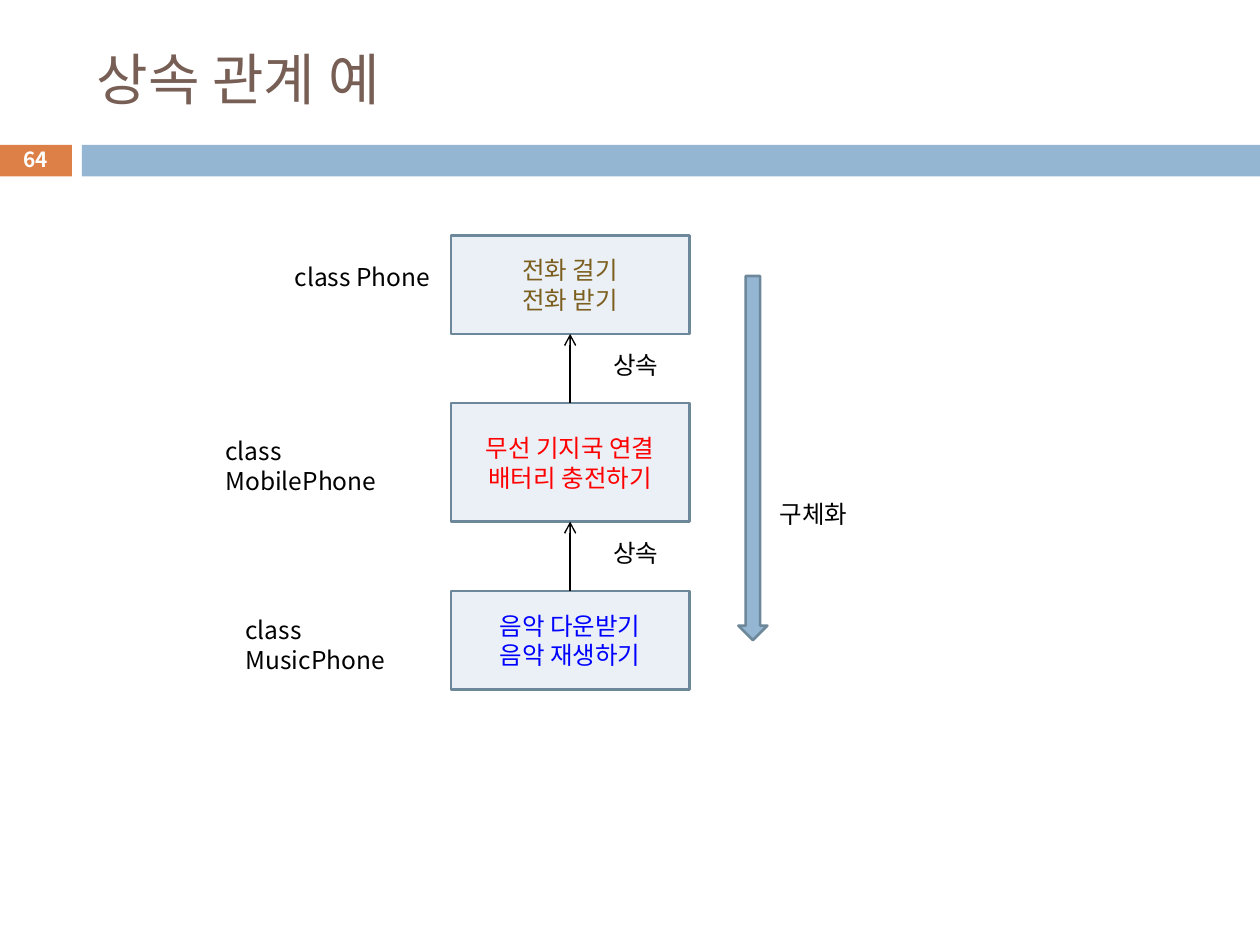
from dataclasses import dataclass

from lxml import etree
from pptx import Presentation
from pptx.dml.color import RGBColor
from pptx.enum.shapes import MSO_CONNECTOR, MSO_SHAPE
from pptx.enum.text import MSO_ANCHOR, PP_ALIGN
from pptx.oxml.ns import qn
from pptx.util import Inches, Pt

RECT, PROCESS = MSO_SHAPE.RECTANGLE, MSO_SHAPE.FLOWCHART_PROCESS
RIGHT_ARROW, STRAIGHT = MSO_SHAPE.RIGHT_ARROW, MSO_CONNECTOR.STRAIGHT
TOP, MIDDLE = MSO_ANCHOR.TOP, MSO_ANCHOR.MIDDLE
LEFT, CENTER = PP_ALIGN.LEFT, PP_ALIGN.CENTER
TOP_SIDE, BOTTOM_SIDE = 0, 2
UNIT = 0.1  # inches per grid column and row
COLUMNS, ROWS = 100, 75


@dataclass(frozen=True)
class Theme:
    font: str = "Noto Sans CJK KR"
    title_size: float = 32
    body_size: float = 14
    number_size: float = 11.9
    body_leading: float = 17
    title: str = "775F55"
    accent: str = "DD8047"
    band: str = "94B6D2"
    outline: str = "6D879B"
    panel: str = "EAF0F6"
    ink: str = "000000"
    paper: str = "FFFFFF"
    phone: str = "7C5F1E"
    mobile: str = "FF0000"
    music: str = "0000FF"
    outline_width: float = 1.5
    link_width: float = 0.79


THEME = Theme()


@dataclass(frozen=True)
class Box:
    """A rectangle measured in grid columns and rows."""
    left: float
    top: float
    width: float
    height: float

    def inner(self, left, top, width, height):
        return Box(self.left + left, self.top + top, width, height)

    def lengths(self):
        return [Inches(n * UNIT) for n in (self.left, self.top, self.width, self.height)]


def rgb(color):
    return RGBColor.from_string(color)


def write(shape, lines, color, size=THEME.body_size, align=LEFT, anchor=TOP,
          bold=False, leading=None):
    frame = shape.text_frame
    frame.word_wrap = True
    frame.vertical_anchor = anchor
    frame.text = "\n".join(lines)
    font_format = {"name": THEME.font, "size": Pt(size), "bold": bold}
    for paragraph in frame.paragraphs:
        paragraph.alignment = align
        if leading:
            paragraph.line_spacing = Pt(leading)
        for run in paragraph.runs:
            for key, value in font_format.items():
                setattr(run.font, key, value)
            run.font.color.rgb = rgb(color)
            east_asian = etree.SubElement(run.font._element, qn("a:ea"))
            east_asian.set("typeface", THEME.font)


def add_filled(slide, kind, box, fill, outline=None):
    shape = slide.shapes.add_shape(kind, *box.lengths())
    shape.shadow.inherit = False
    shape.fill.solid()
    shape.fill.fore_color.rgb = rgb(fill)
    if outline:
        shape.line.color.rgb = rgb(outline)
        shape.line.width = Pt(THEME.outline_width)
    else:
        shape.line.fill.background()
    return shape


def add_text(slide, box, text, color, **text_format):
    write(slide.shapes.add_textbox(*box.lengths()), [text], color, **text_format)


def add_label(slide, box, text):
    add_text(slide, box, text, THEME.ink, leading=THEME.body_leading)


def add_inheritance(slide, child, parent):
    """Join the child's top to the parent's bottom with an open arrowhead."""
    link = slide.shapes.add_connector(STRAIGHT, 0, 0, 0, 0)
    link.begin_connect(child, TOP_SIDE)
    link.end_connect(parent, BOTTOM_SIDE)
    link.line.color.rgb = rgb(THEME.ink)
    link.line.width = Pt(THEME.link_width)
    etree.SubElement(link.line._get_or_add_ln(), qn("a:tailEnd")).set("type", "arrow")
    etree.SubElement(link._element.spPr, qn("a:effectLst"))


def add_header(slide, box, title, number):
    tab = box.inner(-0.1, 11.5, 5.8, 2.5)
    add_filled(slide, RECT, tab, THEME.accent)
    add_filled(slide, RECT, box.inner(6.5, 11.5, box.width - 6.5, 2.5), THEME.band)
    add_text(slide, box.inner(6.7, 2.5, 89.2, 7.4), title, THEME.title,
             size=THEME.title_size, anchor=MIDDLE)
    add_text(slide, tab.inner(0, -0.2, tab.width, 2.7), number, THEME.paper,
             size=THEME.number_size, align=CENTER, anchor=MIDDLE, bold=True)


def add_class_chain(slide, box, classes):
    """Stack the classes in one column, each inheriting from the one above."""
    column, width, gap, label_height = 18.9, 18.9, 5.5, 3.4
    top, parent = 0, None
    for name, features, color, height, (left, label_top, label_width) in classes:
        member = add_filled(slide, PROCESS, box.inner(column, top, width, height),
                            THEME.panel, THEME.outline)
        write(member, features, color, align=CENTER, anchor=MIDDLE,
              leading=THEME.body_leading)
        add_label(slide, box.inner(left, top + label_top, label_width, label_height), name)
        if parent is not None:
            add_inheritance(slide, member, parent)
            add_label(slide, box.inner(column + 11.9, top - 4.7, 5.9, label_height), "상속")
        parent = member
        top += height + gap


def add_direction(slide, box, caption):
    """A long arrow pointing down, with its caption to the right."""
    length, thickness = box.height, 2.3
    arrow_box = box.inner((thickness - length) / 2, (length - thickness) / 2,
                          length, thickness)
    arrow = add_filled(slide, RIGHT_ARROW, arrow_box, THEME.band, THEME.outline)
    arrow.rotation = 90
    add_label(slide, box.inner(2.3, 17.2, 7.9, 3.4), caption)


def main():
    presentation = Presentation()
    presentation.slide_width = Inches(COLUMNS * UNIT)
    presentation.slide_height = Inches(ROWS * UNIT)
    slide = presentation.slides.add_slide(presentation.slide_layouts[6])
    # name, features, colour, height, label (left, top, width)
    classes = [
        ("class Phone", ["전화 걸기", "전화 받기"], THEME.phone, 7.8, (5.5, 1.6, 13.2)),
        ("class MobilePhone", ["무선 기지국 연결", "배터리 충전하기"], THEME.mobile, 9.4,
         (0, 2.1, 18.4)),
        ("class MusicPhone", ["음악 다운받기", "음악 재생하기"], THEME.music, 7.8,
         (1.6, 1.4, 17.4)),
    ]
    add_header(slide, Box(0, 0, COLUMNS, 14), "상속 관계 예", "64")
    add_class_chain(slide, Box(16.9, 18.7, 37.8, 36), classes)
    add_direction(slide, Box(58.6, 21.9, 10.2, 28.9), "구체화")
    presentation.save("out.pptx")


if __name__ == "__main__":
    main()
